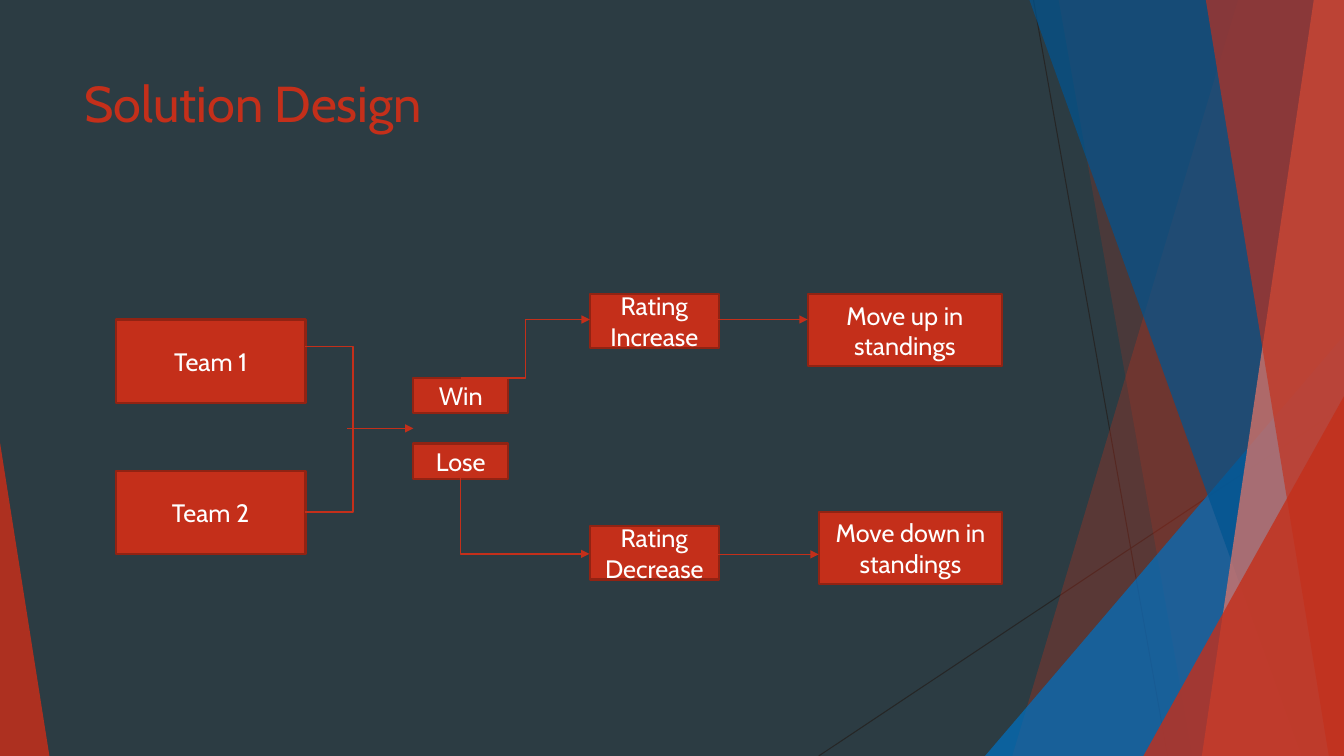
"""Build the Solution Design slide: a flow from two teams to their standings."""
from lxml.etree import SubElement
from pptx import Presentation
from pptx.dml.color import RGBColor
from pptx.enum.shapes import MSO_CONNECTOR as LINK, MSO_SHAPE as SHAPE
from pptx.enum.text import MSO_ANCHOR, PP_ALIGN
from pptx.oxml.ns import qn
from pptx.util import Pt

PX = 9144
WIDTH, HEIGHT = 1333, 750
FONT = "Cabin"
SLATE = RGBColor(0x2C, 0x3C, 0x43)
RED = RGBColor(0xC4, 0x2F, 0x1A)
DARK_RED = RGBColor(0x91, 0x23, 0x13)
SALMON = RGBColor(0xEB, 0x77, 0x66)
BLUE = RGBColor(0x00, 0x70, 0xC0)
DEEP_BLUE = RGBColor(0x00, 0x54, 0x90)
CHARCOAL = RGBColor(0x26, 0x26, 0x26)
WHITE = RGBColor(0xFF, 0xFF, 0xFF)

deck = Presentation()
deck.slide_width, deck.slide_height = WIDTH * PX, HEIGHT * PX
slide = deck.slides.add_slide(deck.slide_layouts[6])
slide.background.fill.solid()
slide.background.fill.fore_color.rgb = SLATE
shapes = slide.shapes


def draw_link(kind, ends, color, weight, arrow=False):
    link = shapes.add_connector(kind, *(value * PX for value in ends))
    link.line.color.rgb = color
    link.line.width = Pt(weight)
    properties = link._element.spPr
    if arrow:
        SubElement(properties.get_or_add_ln(), qn("a:tailEnd"), type="triangle")
    SubElement(properties, qn("a:effectLst"))
    return link


def paint_facet(facet, color, opacity):
    facet.shadow.inherit = False
    facet.line.fill.background()
    facet.fill.solid()
    facet.fill.fore_color.rgb = color
    tint = facet.fill._xPr.find(qn("a:solidFill"))[0]
    SubElement(tint, qn("a:alpha"), val=str(opacity * 1000))


for ray in [(1025, 0, 1158, 750), (1333, 403, 812, 750)]:
    draw_link(LINK.STRAIGHT, ray, CHARCOAL, 0.75)

# Bands reach the right edge; wedges stand on the bottom edge.
facets = [
    ("band", (1228, 1004), RED, 30),
    ("band", (1050, 1183), RED, 20),
    ("wedge", (977, 333, 356, 1), BLUE, 72),
    ("band", (1021, 1291), DEEP_BLUE, 70),
    ("band", (1303, 1192), SALMON, 70),
    ("band", (1196, 1318), RED, 65),
    ("wedge", (1134, 393, 199, 1), RED, 80),
    ("wedge", (0, 439, 49, 0), RED, 85),
]
for kind, geometry, color, opacity in facets:
    if kind == "band":
        top_x, bottom_x = geometry
        outline = shapes.build_freeform(top_x, 0, scale=PX)
        outline.add_line_segments([(WIDTH, 0), (WIDTH, HEIGHT), (bottom_x, HEIGHT)])
        facet = outline.convert_to_shape()
    else:
        left, top, width, peak = geometry
        facet = shapes.add_shape(
            SHAPE.ISOSCELES_TRIANGLE, left * PX, top * PX, width * PX, (HEIGHT - top) * PX)
        facet.adjustments[0] = peak
    paint_facet(facet, color, opacity)

title = shapes.add_textbox(74 * PX, 67 * PX, 940 * PX, 144 * PX).text_frame
title.word_wrap = True
title.text = "Solution Design"
heading = title.paragraphs[0].font
heading.name, heading.size = FONT, Pt(36)
heading.color.rgb = RED

steps = [
    ("Team 1", 115, 317, 188, 83),
    ("Team 2", 115, 467, 188, 83),
    ("Win", 410, 375, 94, 35),
    ("Lose", 410, 440, 94, 35),
    ("Rating Increase", 585, 292, 128, 53),
    ("Rating Decrease", 585, 522, 128, 53),
    ("Move up in standings", 801, 292, 193, 71),
    ("Move down in standings", 812, 508, 182, 71),
]
for label, *bounds in steps:
    step = shapes.add_shape(SHAPE.RECTANGLE, *(value * PX for value in bounds))
    step.shadow.inherit = False
    step.fill.solid()
    step.fill.fore_color.rgb = RED
    step.line.color.rgb = DARK_RED
    step.line.width = Pt(1.5)
    frame = step.text_frame
    frame.word_wrap = True
    frame.vertical_anchor = MSO_ANCHOR.MIDDLE
    frame.text = label
    caption = frame.paragraphs[0]
    caption.alignment = PP_ALIGN.CENTER
    caption.font.name, caption.font.size = FONT, Pt(18)
    caption.font.color.rgb = WHITE

flows = [
    (LINK.ELBOW, (303, 344, 397, 425), False),
    (LINK.ELBOW, (303, 508, 397, 425), False),
    (LINK.STRAIGHT, (344, 425, 410, 425), True),
    (LINK.ELBOW, (457, 375, 585, 317), True),
    (LINK.STRAIGHT, (712, 317, 801, 317), True),
    (LINK.STRAIGHT, (712, 550, 812, 550), True),
]
for kind, ends, arrow in flows:
    draw_link(kind, ends, RED, 1, arrow)

lose_flow = draw_link(LINK.ELBOW, (558, 448, 483, 576), RED, 1, arrow=True)
lose_flow._element.spPr.find(qn("a:prstGeom")).set("prst", "bentConnector2")
lose_flow._element.spPr.find(qn("a:xfrm")).set("rot", str(270 * 60000))

deck.save("out.pptx")
